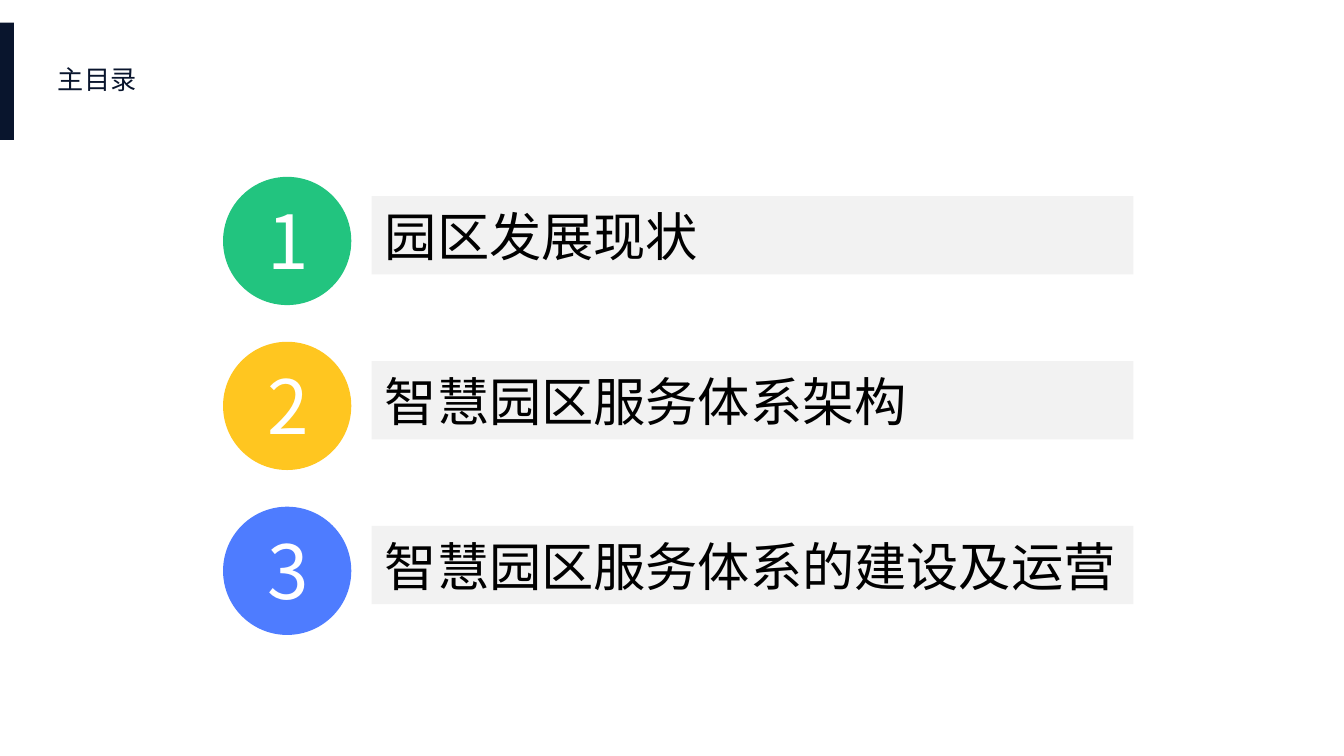
from pptx import Presentation
from pptx.dml.color import RGBColor
from pptx.enum.shapes import MSO_SHAPE as Preset
from pptx.enum.text import MSO_ANCHOR as Anchor, PP_ALIGN as Align
from pptx.oxml.ns import qn
from pptx.util import Inches, Pt
from lxml.etree import SubElement

WIDTH = 10
HEIGHT = WIDTH * 9 / 16
FONT = "Noto Sans CJK SC"
COLORS = {
    "navy": "09152D",
    "green": "22C47F",
    "yellow": "FFC620",
    "blue": "4E7CFF",
    "band": "F2F2F2",
    "white": "FFFFFF",
    "black": "000000",
}
CHAPTERS = [
    ("园区发展现状", "green"),
    ("智慧园区服务体系架构", "yellow"),
    ("智慧园区服务体系的建设及运营", "blue"),
]


def inside(box, x, y, w, h):
    """Turn percentages of a box into left, top, width, height."""
    left, top, width, height = box
    return (left + x * width / 100, top + y * height / 100,
            w * width / 100, h * height / 100)


def write(holder, text, size=14, color="black", align=Align.LEFT):
    frame = holder.text_frame
    frame.word_wrap = True
    frame.vertical_anchor = Anchor.MIDDLE
    paragraph = frame.paragraphs[0]
    paragraph.alignment = align
    run = paragraph.add_run()
    run.text = text
    run.font.size = Pt(size)
    run.font.name = FONT
    run.font.color.rgb = RGBColor.from_string(COLORS[color])
    # East Asian characters take their typeface from a:ea
    SubElement(run.font._element, qn("a:ea")).set("typeface", FONT)


def add_filled(slide, preset, box, color):
    shape = slide.shapes.add_shape(preset, *map(Inches, box))
    shape.shadow.inherit = False
    shape.fill.solid()
    shape.fill.fore_color.rgb = RGBColor.from_string(COLORS[color])
    shape.line.fill.background()
    return shape


def add_label(slide, box, text, **text_format):
    label = slide.shapes.add_textbox(*map(Inches, box))
    write(label, text, **text_format)


def add_header(slide, box, title):
    add_filled(slide, Preset.RECTANGLE, inside(box, -7.6, 0, 15, 100), "navy")
    add_label(slide, inside(box, 23.8, 29, 76.2, 39), title, color="navy")


def add_chapter(slide, box, number, title, color):
    left, top, width, height = box
    badge = (left, top, height, height)
    add_filled(slide, Preset.OVAL, badge, color)
    add_label(slide, inside(badge, 6.5, 8, 88, 82), str(number),
              size=40, color="white", align=Align.CENTER)
    band = add_filled(slide, Preset.RECTANGLE,
                      inside(box, 16.3, 15, 83.6, 61), "band")
    write(band, title, size=28)


def add_contents(slide, box, chapters):
    """Stack the chapters in equal rows, with gaps between them."""
    left, top, width, height = box
    row_height = 0.28 * height
    pitch = (height - row_height) / (len(chapters) - 1)
    for index, (title, color) in enumerate(chapters):
        row = (left, top + index * pitch, width, row_height)
        add_chapter(slide, row, index + 1, title, color)


def main():
    deck = Presentation()
    deck.slide_width, deck.slide_height = Inches(WIDTH), Inches(HEIGHT)
    slide = deck.slides.add_slide(deck.slide_layouts[6])
    page = (0, 0, WIDTH, HEIGHT)
    add_header(slide, inside(page, 0, 3, 14, 15.5), "主目录")
    add_contents(slide, inside(page, 16.6, 23.4, 67.8, 60.6), CHAPTERS)
    deck.save("out.pptx")


if __name__ == "__main__":
    main()
